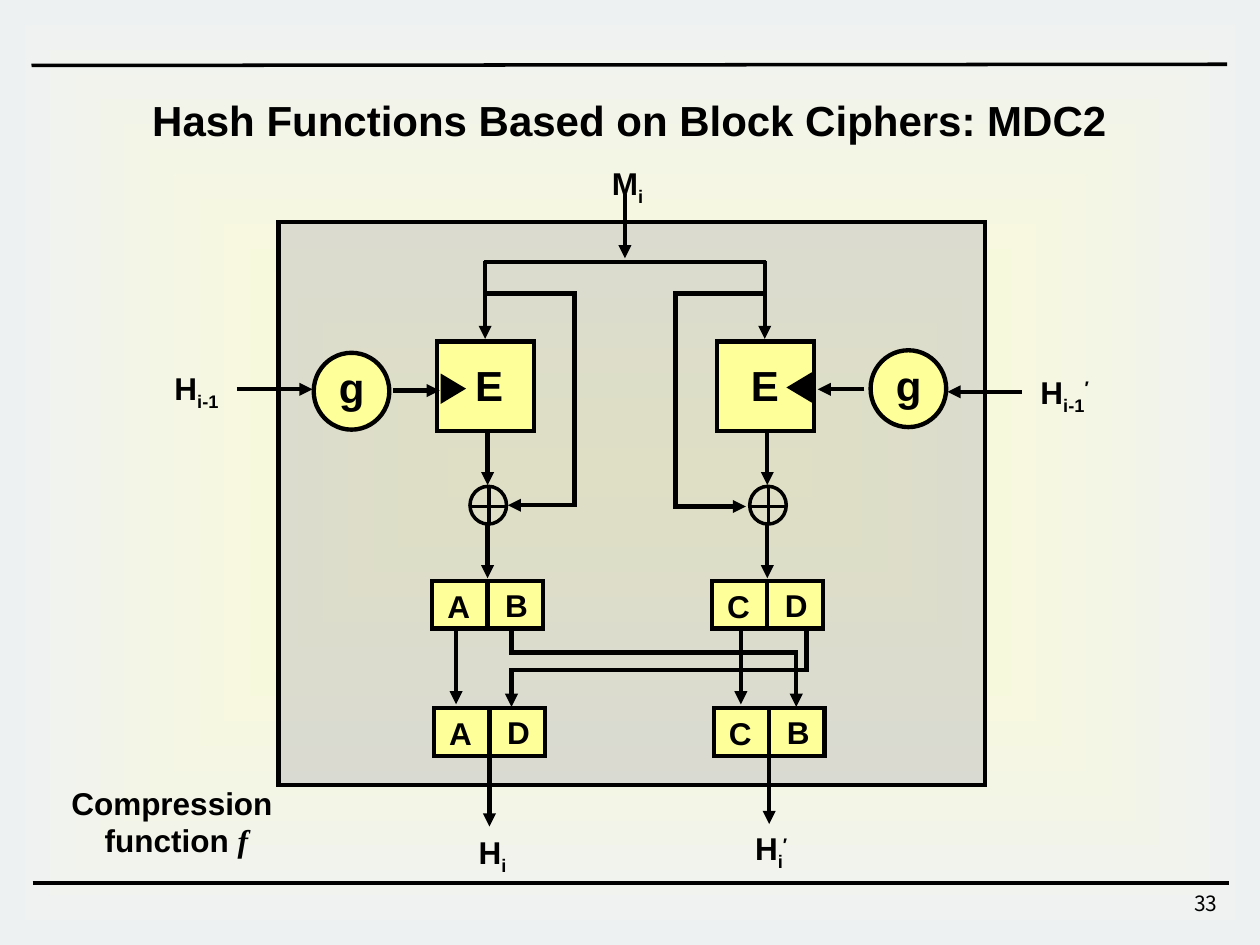
from itertools import pairwise
from lxml.etree import SubElement
from pptx import Presentation
from pptx.dml.color import RGBColor
from pptx.enum.shapes import MSO_CONNECTOR, MSO_SHAPE
from pptx.enum.text import MSO_AUTO_SIZE, PP_ALIGN
from pptx.oxml.ns import qn
from pptx.util import Inches, Pt

COLUMNS, ROWS = 100, 75
BLACK, YELLOW, GRAY = "000000", "FFFF99", "C0C0C0"


def color(value):
    return RGBColor.from_string(value)


def write(paragraph, text, size=18, font="Arial", bold=True, italic=False, baseline=0):
    run = paragraph.add_run()
    run.text = text
    run.font.size = Pt(size)
    run.font.name = font
    run.font.bold = bold
    run.font.italic = italic
    run.font.color.rgb = color(BLACK)
    if baseline:
        run.font._element.set("baseline", str(baseline * 1000))


class Diagram:
    def __init__(self, presentation):
        self.slide = presentation.slides.add_slide(presentation.slide_layouts[6])
        self.column = presentation.slide_width / COLUMNS
        self.row = presentation.slide_height / ROWS

    def place(self, left, top, width, height):
        return (round(left * self.column), round(top * self.row),
                round(width * self.column), round(height * self.row))

    def shape(self, kind, left, top, width, height, fill=None, line=2.5, rotation=0):
        shape = self.slide.shapes.add_shape(kind, *self.place(left, top, width, height))
        shape.shadow.inherit = False
        shape.rotation = rotation
        if fill:
            shape.fill.solid()
            shape.fill.fore_color.rgb = color(fill)
        else:
            shape.fill.background()
        if line:
            shape.line.color.rgb = color(BLACK)
            shape.line.width = Pt(line)
            SubElement(shape._element.spPr.find(qn("a:ln")), qn("a:miter"), lim="800000")
        else:
            shape.line.fill.background()
        return shape

    def box(self, *place, fill=YELLOW):
        return self.shape(MSO_SHAPE.RECTANGLE, *place, fill=fill)

    def background(self, inner, outer):
        shape = self.shape(MSO_SHAPE.RECTANGLE, 0, 0, COLUMNS, ROWS, line=None)
        shape.fill.gradient()
        for stop, position, value in zip(shape.fill.gradient_stops, (0, 1), (inner, outer)):
            stop.position = position
            stop.color.rgb = color(value)
        gradient = shape._element.spPr.find(qn("a:gradFill"))
        gradient.remove(gradient.find(qn("a:lin")))
        focus = SubElement(gradient, qn("a:path"), path="rect")
        SubElement(focus, qn("a:fillToRect"), dict.fromkeys("ltrb", "50000"))

    def panel(self, *place):
        shape = self.box(*place, fill=GRAY)
        solid = shape._element.spPr.find(qn("a:solidFill"))
        SubElement(solid[0], qn("a:alpha"), val="50000")

    def line(self, *points, width=2.5, arrow=False):
        segments = list(pairwise(points))
        for number, ((x1, y1), (x2, y2)) in enumerate(segments, 1):
            connector = self.slide.shapes.add_connector(
                MSO_CONNECTOR.STRAIGHT, *self.place(x1, y1, x2, y2))
            connector.line.color.rgb = color(BLACK)
            connector.line.width = Pt(width)
            outline = connector._element.spPr.find(qn("a:ln"))
            if arrow and number == len(segments):
                SubElement(outline, qn("a:tailEnd"), type="triangle")
            elif len(segments) > 1:
                outline.set("cap", "sq")
            SubElement(connector._element.spPr, qn("a:effectLst"))

    def arrow(self, *points):
        self.line(*points, arrow=True)

    def text(self, place, *lines, align=PP_ALIGN.CENTER, inset=(0, 0), wrap=False, **style):
        frame = self.slide.shapes.add_textbox(*self.place(*place)).text_frame
        frame.word_wrap = wrap
        frame.auto_size = MSO_AUTO_SIZE.SHAPE_TO_FIT_TEXT
        frame.margin_left = frame.margin_right = Inches(inset[0])
        frame.margin_top = frame.margin_bottom = Inches(inset[1])
        for number, runs in enumerate(lines):
            paragraph = frame.add_paragraph() if number else frame.paragraphs[0]
            paragraph.alignment = align
            for text, extra in runs:
                write(paragraph, text, **(style | extra))

    def label(self, place, text, **style):
        self.text(place, [(text, {})], **style)

    def variable(self, center, top, name, index, prime=""):
        runs = [(name, {}), (index, {"baseline": -25})]
        if prime:
            runs.append((prime, {"baseline": 30}))
        self.text((center - 3, top, 6, 3.4), runs, wrap=True)

    def register(self, left, top, letters):
        for number, letter in enumerate(letters):
            self.box(left + 4.4 * number, top, 4.4, 3.8)
            self.label((left + 1.2 + 4.6 * number, top + 0.5 - 0.1 * number, 1.8, 3), letter)

    def xor(self, x, y):
        self.shape(MSO_SHAPE.OVAL, x - 1.45, y - 1.5, 2.9, 3, line=2)
        self.line((x - 1.5, y + 0.1), (x + 1.4, y + 0.1), width=2)
        self.line((x + 0.05, y - 1.4), (x + 0.05, y + 1.5), width=2)

    def half(self, x, letter_shift, before, after, output):
        self.box(x - 4, 27.1, 7.7, 7.1)
        self.label((x - 1.2 + letter_shift, 28.55, 2.2, 4), "E", size=24)
        self.xor(x + 0.05, 40.1)
        self.arrow((x, 34.4), (x, 38.5))
        self.arrow((x, 41.5), (x, 45.9))
        self.arrow((x - 0.2, 20.7), (x - 0.2, 26.9))
        self.register(x - 4.4, 46.1, before)
        self.register(x - 4.25, 56.2, after)
        self.arrow((x + 0.15, 60.2), (x + 0.15, output))

    def key_input(self, circle_left, circle_top, triangle_left, triangle_top, rotation):
        self.shape(MSO_SHAPE.OVAL, circle_left, circle_top, 6, 6.1, fill=YELLOW)
        self.label((circle_left + 2, circle_top + 0.7, 2, 4), "g", size=24)
        self.shape(MSO_SHAPE.ISOSCELES_TRIANGLE, triangle_left, triangle_top, 1.8, 1.5,
                   fill=BLACK, rotation=rotation)


def main():
    presentation = Presentation()
    presentation.slide_width, presentation.slide_height = Inches(10), Inches(7.5)
    diagram = Diagram(presentation)
    diagram.background("FFFFCC", "EEF1F2")
    diagram.line((2.5, 5.2), (97.4, 5.1), width=2)
    diagram.line((2.6, 70.1), (97.5, 70.1), width=2)
    diagram.label((76.8, 70.2, 20.8, 3.3), "33", size=12, font="Noto Sans CJK KR",
                  bold=False, align=PP_ALIGN.RIGHT, inset=(0.1, 0.05), wrap=True)
    diagram.label((11.1, 7, 81, 5), "Hash Functions Based on Block Ciphers: MDC2",
                  size=24, align=PP_ALIGN.LEFT, inset=(0.1, 0.05), wrap=True)
    diagram.text((4, 62.2, 20, 6), [("Compression ", {})],
                 [("function ", {}), ("f", {"font": "Times New Roman", "italic": True})],
                 wrap=True)
    diagram.variable(49.8, 13, "M", "i")
    diagram.variable(39.1, 66.1, "H", "i")
    diagram.panel(22.1, 17.6, 56.1, 44.7)

    diagram.half(38.7, 0.2, "AB", "AD", 65.6)
    diagram.half(60.9, -0.1, "CD", "CB", 65.4)
    diagram.key_input(24.9, 28, 35, 30.1, 90)
    diagram.key_input(69.1, 27.8, 62.6, 30, 270)
    diagram.variable(15.6, 29.3, "H", "i-1")
    diagram.variable(84.5, 29.6, "H", "i-1", "′")
    diagram.variable(61.2, 65.8, "H", "i", "′")

    diagram.arrow((18.8, 30.9), (24.8, 30.9))
    diagram.arrow((31.2, 31), (34.9, 31))
    diagram.arrow((68.6, 30.9), (64.9, 30.9))
    diagram.arrow((81.1, 31.1), (75.2, 31.1))
    diagram.arrow((38.5, 23.3), (45.6, 23.3), (45.6, 40.1), (40.3, 40.1))
    diagram.arrow((60.7, 23.3), (53.6, 23.3), (53.6, 40.2), (59.2, 40.2))
    diagram.line((38.4, 20.8), (60.8, 20.8))
    diagram.arrow((49.6, 15.4), (49.6, 20.5))
    diagram.arrow((36.2, 50.1), (36.2, 55.9))
    diagram.arrow((58.8, 50), (58.8, 55.9))
    diagram.arrow((40.6, 50), (40.6, 51.8), (63.2, 51.8), (63.2, 56.1))
    diagram.arrow((64, 50), (64, 53.2), (40.6, 53.2), (40.6, 56.1))
    presentation.save("out.pptx")


if __name__ == "__main__":
    main()
